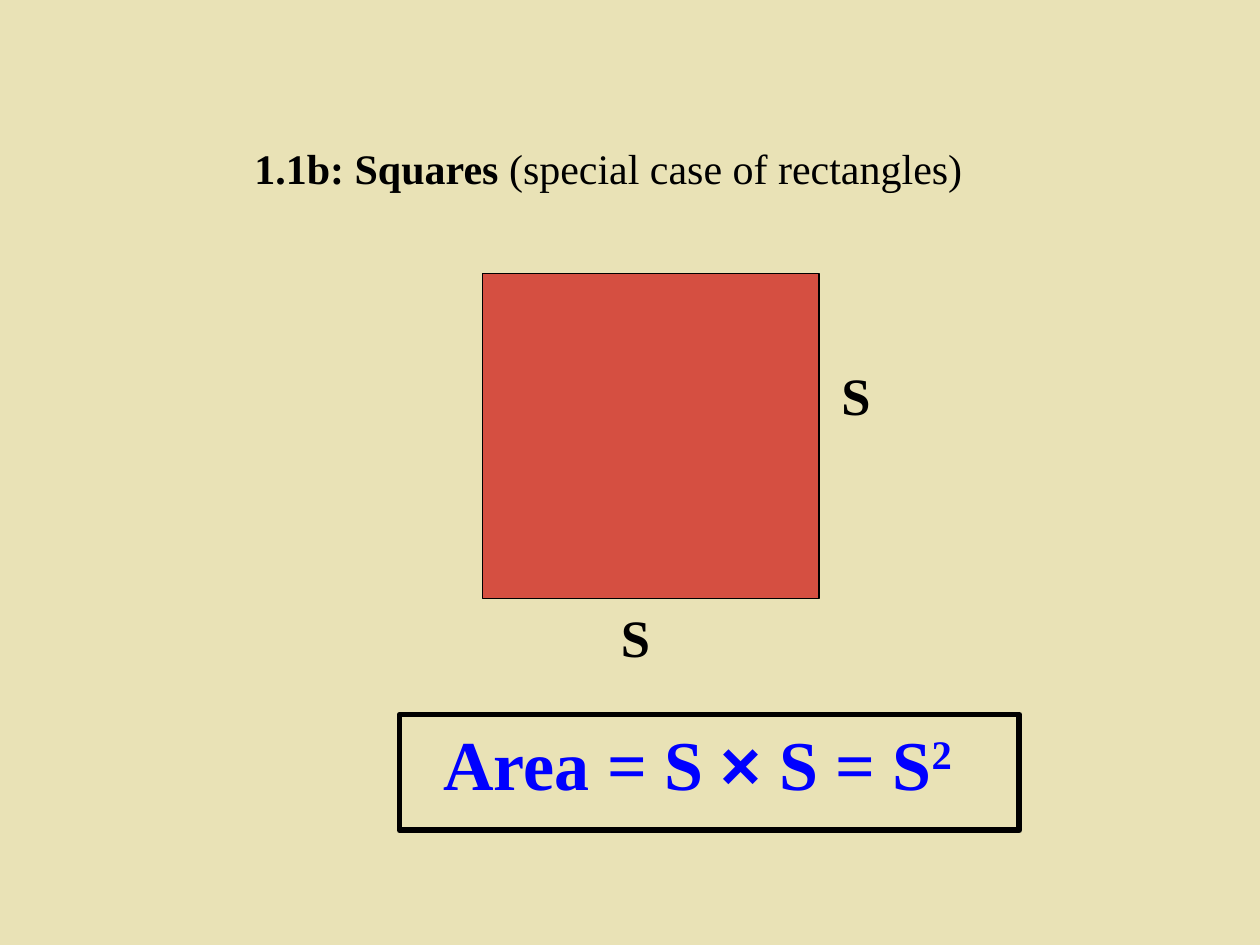
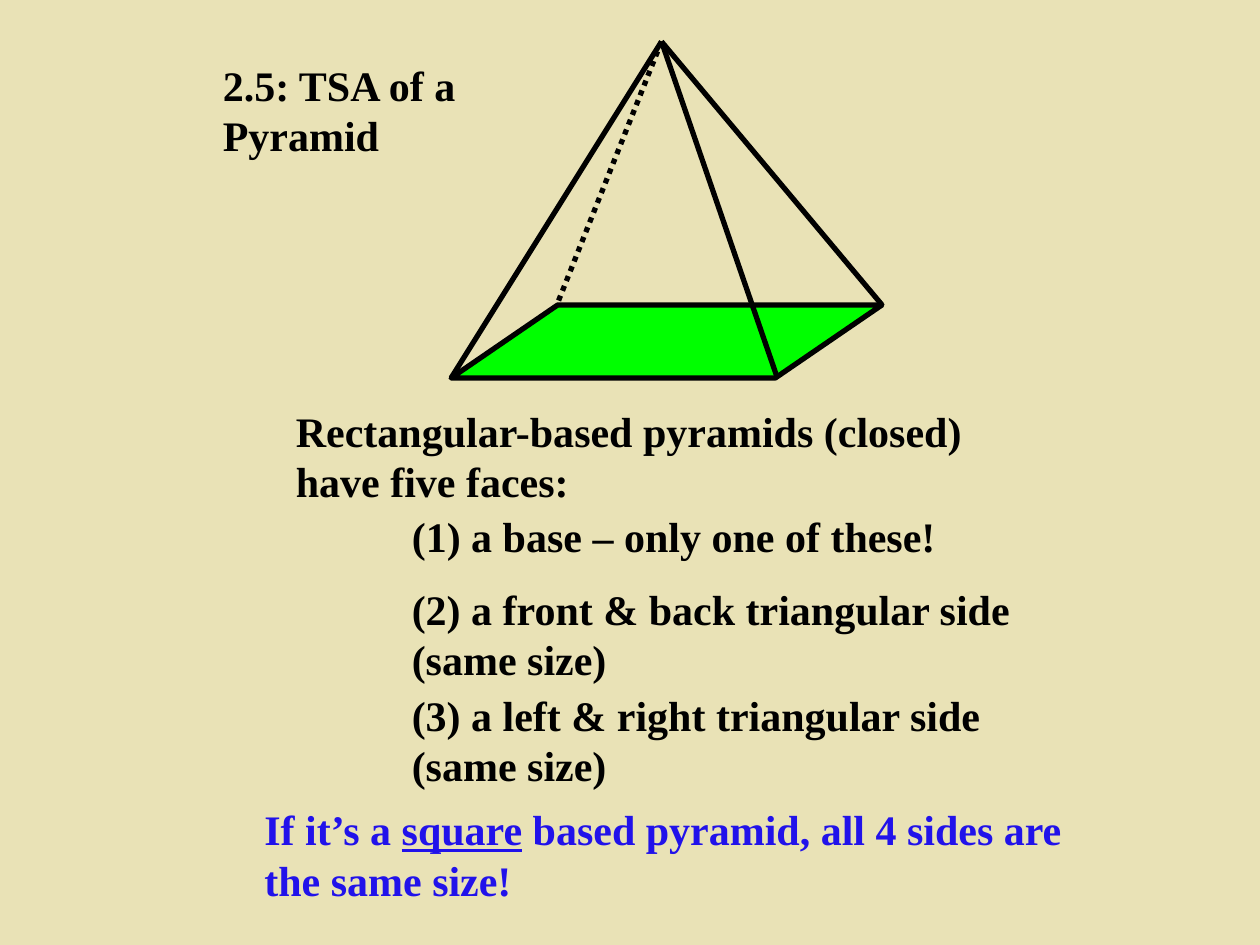
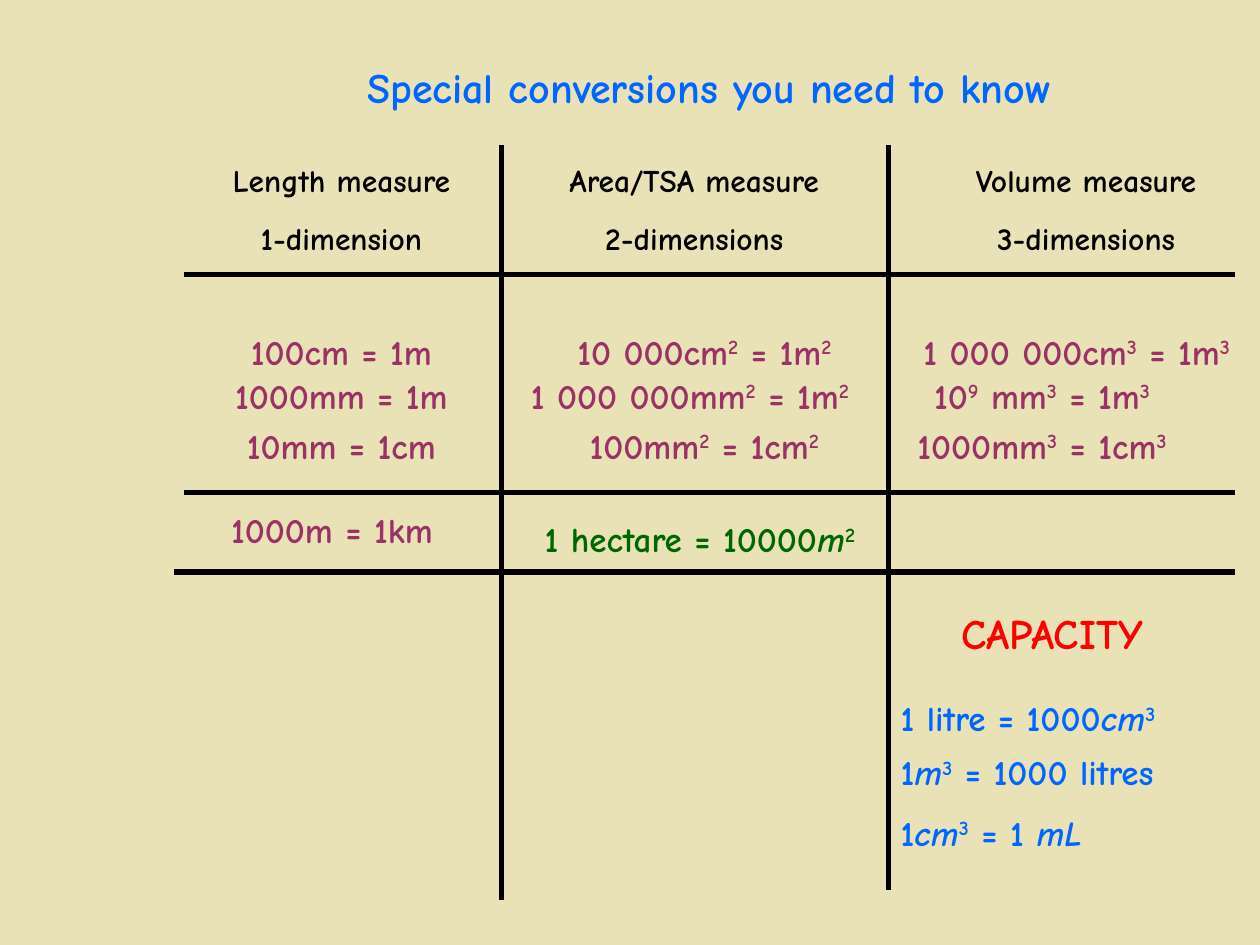
from dataclasses import dataclass

from lxml import etree
from pptx import Presentation
from pptx import util as u
from pptx.dml import color
from pptx.enum import dml, shapes, text
from pptx.oxml import ns

COLORS = {
    "paper": "E9E2B6",
    "ink": "000000",
    "square": "D54F41",
    "base": "00FF00",
    "formula": "0000FF",
    "remark": "2112EA",
    "heading": "0066FF",
    "conversion": "993366",
    "hectare": "006600",
    "capacity": "FF0000",
}
SERIF = "Times New Roman"
COMIC = "Comic Neue"


@dataclass(frozen=True)
class Span:
    text: str
    bold: bool = True
    italic: bool = False
    underline: bool = False
    raised: bool = False
    font: str | None = None


@dataclass(frozen=True)
class Label:
    """A text box; each paragraph is a tuple of spans."""
    left: float
    top: float
    width: float
    height: float
    paragraphs: tuple[tuple[Span, ...], ...]
    size: float = 24
    ink: str = "ink"
    font: str = SERIF
    centered: bool = False
    gap: float = 0


@dataclass(frozen=True)
class Line:
    start: tuple[float, float]
    end: tuple[float, float]
    dotted: bool = False


def rgb(name: str) -> color.RGBColor:
    return color.RGBColor.from_string(COLORS[name])


def plain(words: str) -> tuple[tuple[Span, ...], ...]:
    return ((Span(words),),)


def italic(words: str) -> Span:
    return Span(words, italic=True)


def power(digit: str) -> Span:
    return Span(digit, raised=True)


def powers(*pieces: str) -> tuple[tuple[Span, ...], ...]:
    """One paragraph whose pieces are by turns normal and superscript."""
    return (tuple(Span(piece, raised=i % 2 == 1) for i, piece in enumerate(pieces)),)


def add_page(deck):
    page = deck.slides.add_slide(deck.slide_layouts[6])
    page.background.fill.solid()
    page.background.fill.fore_color.rgb = rgb("paper")
    return page


def add_label(page, label: Label) -> None:
    box = page.shapes.add_textbox(u.Inches(label.left), u.Inches(label.top),
                                  u.Inches(label.width), u.Inches(label.height))
    frame = box.text_frame
    frame.word_wrap = True
    frame.auto_size = text.MSO_AUTO_SIZE.SHAPE_TO_FIT_TEXT
    for index, spans in enumerate(label.paragraphs):
        para = frame.add_paragraph() if index else frame.paragraphs[0]
        para.alignment = text.PP_ALIGN.CENTER if label.centered else text.PP_ALIGN.LEFT
        if index:
            para.space_before = u.Pt(label.gap)
        for piece in spans:
            span = para.add_run()
            span.text = piece.text
            span.font.name = piece.font or label.font
            span.font.size = u.Pt(label.size)
            span.font.bold = piece.bold
            span.font.italic = piece.italic
            span.font.underline = piece.underline
            span.font.color.rgb = rgb(label.ink)
            if piece.raised:
                span._r.get_or_add_rPr().set("baseline", "30000")


def add_figure(canvas, preset, left: float, top: float, width: float, height: float,
               fill: str | None, weight: float):
    figure = canvas.add_shape(preset, u.Inches(left), u.Inches(top),
                              u.Inches(width), u.Inches(height))
    figure.shadow.inherit = False
    if fill:
        figure.fill.solid()
        figure.fill.fore_color.rgb = rgb(fill)
    else:
        figure.fill.background()
    figure.line.color.rgb = rgb("ink")
    figure.line.width = u.Pt(weight)
    return figure


def add_line(canvas, line: Line) -> None:
    stroke = canvas.add_connector(shapes.MSO_CONNECTOR.STRAIGHT,
                                  *map(u.Inches, line.start + line.end))
    stroke.line.color.rgb = rgb("ink")
    stroke.line.width = u.Pt(3)
    if line.dotted:
        stroke.line.dash_style = dml.MSO_LINE.ROUND_DOT
    etree.SubElement(stroke._element.spPr, ns.qn("a:effectLst"))


def build_squares(deck) -> None:
    page = add_page(deck)
    add_label(page, Label(1.92, 1.08, 7.17, 0.5, ((
        Span("1.1b: Squares "), Span("(special case of rectangles)", bold=False)),)))
    rectangle = shapes.MSO_SHAPE.RECTANGLE
    add_figure(page.shapes, rectangle, 3.83, 2.17, 2.67, 2.58, "square", 1)
    for left, top in ((6.58, 2.83), (4.83, 4.75)):
        add_label(page, Label(left, top, 1.08, 0.6, plain("S"), size=30))
    formula = (Span("Area = S "), Span("×", font="Arial"), Span(" S = S"), power("2"))
    add_label(page, Label(3.42, 5.67, 4.75, 0.77, (formula,), size=40, ink="formula"))
    add_figure(page.shapes, rectangle, 3.17, 5.67, 4.92, 0.92, None, 3.25)


def build_pyramid(deck) -> None:
    page = add_page(deck)
    add_label(page, Label(1.67, 0.42, 3, 0.9, plain("2.5: TSA of a Pyramid")))

    pyramid = page.shapes.add_group_shape().shapes
    base = add_figure(pyramid, shapes.MSO_SHAPE.PARALLELOGRAM,
                      3.58, 2.42, 3.42, 0.58, "base", 3)
    base.adjustments[0] = 1.46
    apex = (5.25, 0.33)
    for corner in ((3.58, 3), (6.17, 3), (7, 2.42)):
        add_line(pyramid, Line(apex, corner))
    add_line(pyramid, Line(apex, (4.42, 2.42), dotted=True))

    add_label(page, Label(2.25, 3.17, 6.08, 0.9, plain(
        "Rectangular-based pyramids (closed) have five faces:")))
    faces = (
        (4, 4.75, 0.5, "(1) a base – only one of these!"),
        (4.58, 5.33, 0.9, "(2) a front & back triangular side (same size)"),
        (5.42, 4.83, 0.9, "(3) a left & right triangular side (same size)"),
    )
    for top, width, height, words in faces:
        add_label(page, Label(3.17, top, width, height, plain(words)))
    add_label(page, Label(2, 6.33, 6.58, 0.9, ((
        Span("If it’s a "), Span("square", underline=True),
        Span(" based pyramid, all 4 sides are the same size!")),), ink="remark"))


def build_conversions(deck) -> None:
    page = add_page(deck)
    add_label(page, Label(1.93, 0.44, 7.4, 0.5, plain("Special conversions you need to know"),
                          ink="heading", font=COMIC, centered=True))

    right = 9.8
    for line in (
        Line((3.98, 1.15), (3.98, 7.14)),
        Line((7.05, 1.15), (7.05, 7.06)),
        Line((1.46, 2.18), (right, 2.18)),
        Line((1.46, 3.91), (right, 3.91)),
        Line((1.38, 4.54), (right, 4.54)),
    ):
        add_line(page.shapes, line)

    headers = (
        (1.53, 2.36, "Length measure", "1-dimension"),
        (4.21, 2.6, "Area/TSA measure", "2-dimensions"),
        (7.44, 2.36, "Volume measure", "3-dimensions"),
    )
    for left, width, measure, dimension in headers:
        add_label(page, Label(left, 1.23, width, 0.86, plain(measure) + plain(dimension),
                              size=18, font=COMIC, centered=True, gap=11.2))

    conversion_rows = (
        (2.57, (
            (1.61, 2.2, plain("100cm = 1m")),
            (4.29, 2.6, powers("10 000cm", "2", " = 1m", "2")),
            (6.97, 3.15, powers("1 000 000cm", "3", " = 1m", "3")))),
        (2.92, (
            (1.61, 2.2, plain("1000mm = 1m")),
            (3.9, 3.15, powers("1 000 000mm", "2", " = 1m", "2")),
            (6.97, 2.6, powers("10", "9", " mm", "3", " = 1m", "3")))),
        (3.32, (
            (1.61, 2.2, plain("10mm = 1cm")),
            (4.29, 2.6, powers("100mm", "2", " = 1cm", "2")),
            (6.97, 2.6, powers("1000mm", "3", " = 1cm", "3")))),
        (3.99, ((1.53, 2.21, plain("1000m = 1km")),)),
    )
    for top, cells in conversion_rows:
        for left, width, paragraphs in cells:
            add_label(page, Label(left, top, width, 0.44, paragraphs, size=20,
                                  ink="conversion", font=COMIC, centered=True))
    hectare = (Span("1 hectare = 10000"), italic("m"), power("2"))
    add_label(page, Label(3.98, 4.06, 3.15, 0.44, (hectare,), size=20,
                          ink="hectare", font=COMIC, centered=True))

    add_label(page, Label(7.13, 4.77, 2.44, 0.5, plain("CAPACITY"),
                          ink="capacity", font=COMIC, centered=True))
    capacities = (
        (5.48, (Span("1 litre = 1000"), italic("cm"), power("3"))),
        (5.91, (Span("1"), italic("m"), power("3"), Span(" = 1000 litres"))),
        (6.39, (Span("1"), italic("cm"), power("3"), Span(" = 1 "), italic("mL"))),
    )
    for top, spans in capacities:
        add_label(page, Label(7.05, top, 2.95, 0.44, (spans,), size=20,
                              ink="heading", font=COMIC))


def main() -> None:
    deck = Presentation()
    deck.slide_width = u.Inches(10)
    deck.slide_height = u.Inches(7.5)
    build_squares(deck)
    build_pyramid(deck)
    build_conversions(deck)
    deck.save("out.pptx")


if __name__ == "__main__":
    main()
